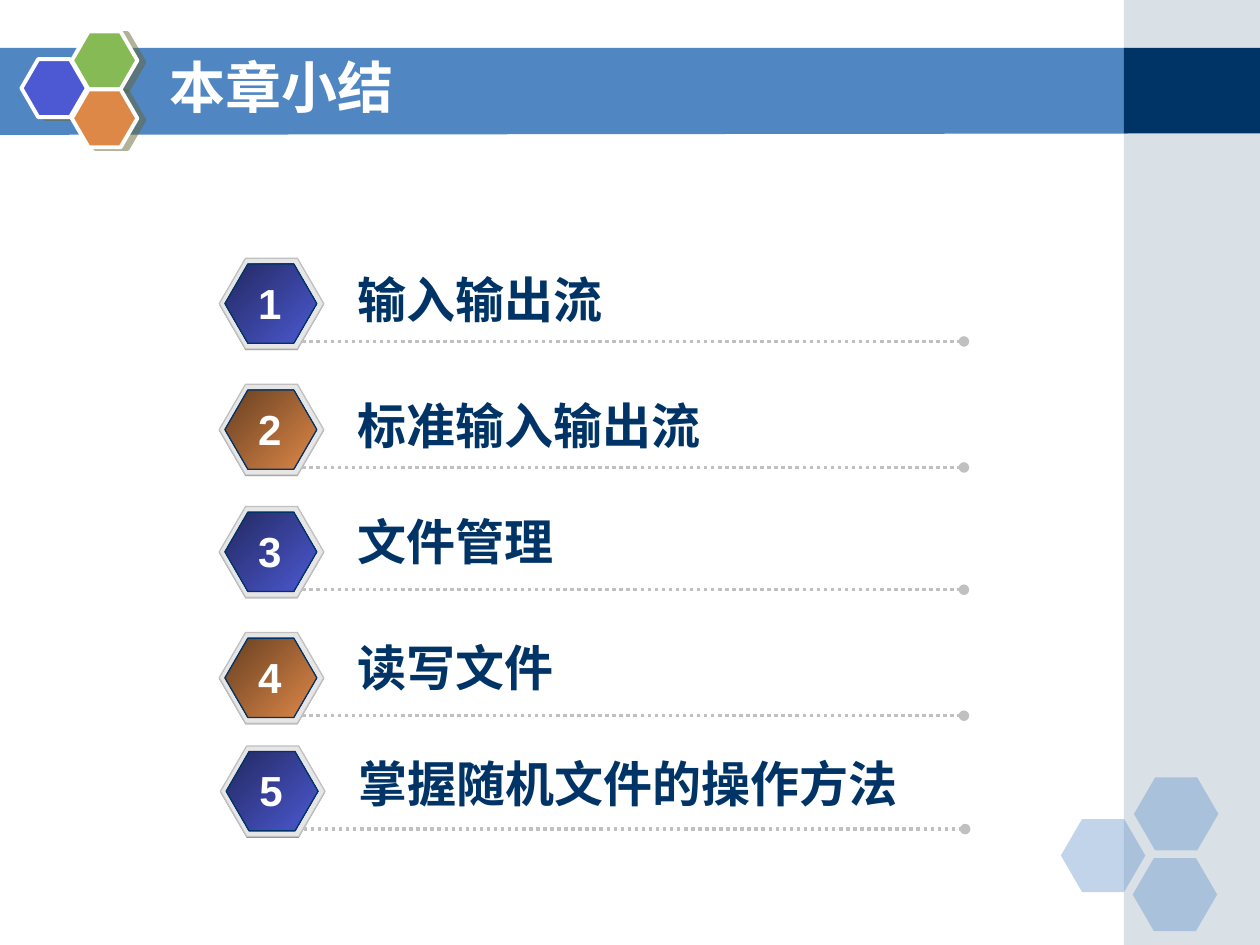
from lxml import etree
from pptx import Presentation
from pptx import util as u
from pptx.dml.color import RGBColor
from pptx.enum import dml, shapes, text
from pptx.oxml import parse_xml
from pptx.oxml.ns import qn

NAVY = RGBColor(0x00, 0x33, 0x66)
BLUE = RGBColor(0x50, 0x86, 0xC2)
MIST = RGBColor(0xA0, 0xB5, 0xC4)
WHITE = RGBColor(0xFF, 0xFF, 0xFF)
VIOLET = RGBColor(0x4C, 0x59, 0xD2)
GREEN = RGBColor(0x85, 0xBA, 0x54)
ORANGE = RGBColor(0xDE, 0x88, 0x48)
INDIGO = RGBColor(0x23, 0x29, 0x61)
BROWN = RGBColor(0x67, 0x3F, 0x21)
GREY = RGBColor(0x80, 0x80, 0x80)
PALE = RGBColor(0xE6, 0xE6, 0xE6)
SILVER = RGBColor(0xC0, 0xC0, 0xC0)
HEX = shapes.MSO_SHAPE.HEXAGON
RECT = shapes.MSO_SHAPE.RECTANGLE

# The slide is a grid of 100 columns by 75 rows
deck = Presentation()
deck.slide_width, deck.slide_height = u.Inches(10), u.Inches(7.5)
CELL = deck.slide_width // 100
page = deck.slides.add_slide(deck.slide_layouts[6])


def draw(kind, spot, fill, edge=None, width=0.75, alpha=None):
    """Add a shape at a grid spot; a pair of fills makes a diagonal gradient."""
    shape = page.shapes.add_shape(kind, *[round(n * CELL) for n in spot])
    shape.shadow.inherit = False
    if kind == HEX:
        shape.adjustments[0] = 0.29
    if isinstance(fill, RGBColor):
        shape.fill.solid()
        shape.fill.fore_color.rgb = fill
    else:
        shape.fill.gradient()
        shape.fill.gradient_angle = 315
        for stop, tint, place in zip(shape.fill.gradient_stops, fill, (0, 1)):
            stop.color.rgb, stop.position = tint, place
    if alpha:
        tone = shape._element.spPr.find(".//" + qn("a:srgbClr"))
        etree.SubElement(tone, qn("a:alpha")).set("val", str(alpha * 1000))
    if edge is None:
        shape.line.fill.background()
    else:
        shape.line.color.rgb, shape.line.width = edge, u.Pt(width)
    return shape


def write(words, spot, look, align=text.PP_ALIGN.LEFT, wrap=True):
    """Add a line of text, centred in height, with its font set from look."""
    frame = page.shapes.add_textbox(*[round(n * CELL) for n in spot]).text_frame
    frame.word_wrap = wrap
    frame.vertical_anchor = text.MSO_ANCHOR.MIDDLE
    line = frame.paragraphs[0]
    line.alignment = align
    run = line.add_run()
    run.text = words
    for key, val in look.items():
        setattr(run.font, key, val)
    run.font.color.rgb = NAVY if look is ITEM else WHITE
    east = etree.SubElement(run._r.get_or_add_rPr(), qn("a:ea"))
    east.set("typeface", "Noto Sans CJK SC")


HEAD = {"name": "Noto Sans CJK SC", "size": u.Pt(32), "bold": True}
ITEM = {"name": "Arial", "size": u.Pt(28), "bold": True}
MARK = {"name": "Arial", "size": u.Pt(24), "bold": True}

# Title band, a little lower at its left end
left, right, top = [round(n * CELL) for n in (-0.1, 89.5, 3.8)]
pen = page.shapes.build_freeform(left, top)
pen.add_line_segments([(right, top), (right, round(10.6 * CELL)),
                       (left, round(10.7 * CELL))])
band = pen.convert_to_shape()
band.shadow.inherit = False
band.fill.solid()
band.fill.fore_color.rgb = BLUE
band.line.fill.background()

# Side column and its dark crossing
draw(RECT, (89.2, 0, 10.8, 75), MIST, alpha=40)
draw(RECT, (89.2, 3.8, 10.8, 6.8), NAVY)

# Faint cluster at the foot
for x, y in ((84.2, 65), (90, 61.7), (89.9, 68.1)):
    draw(HEX, (x, y, 6.7, 5.8), BLUE, alpha=35)

# Bright cluster with shadows beside the title
for x, y, tint in ((1.7, 4.7, VIOLET), (5.7, 2.5, GREEN), (5.7, 7.1, ORANGE)):
    cell = draw(HEX, (x, y, 5.2, 4.6), tint, WHITE, 2.25)
    cell._element.spPr.find(qn("a:effectLst")).append(parse_xml(
        '<a:outerShdw xmlns:a="http://schemas.openxmlformats.org/drawingml/2006/main"'
        ' dist="52070" dir="840000" algn="ctr" rotWithShape="0">'
        '<a:srgbClr val="666633"><a:alpha val="50000"/></a:srgbClr></a:outerShdw>'))

write("本章小结", (12.5, 3.3, 73.3, 7), HEAD)

# Numbered items: words, left and top of the hexagon, top of the words
ROWS = (
    ("输入输出流", 17.4, 20.5, 20.9),
    ("标准输入输出流", 17.4, 30.5, 30.9),
    ("文件管理", 17.4, 40.2, 40.1),
    ("读写文件", 17.4, 50.2, 50.1),
    ("掌握随机文件的操作方法", 17.5, 59.2, 59.3),
)
FILLS = ((INDIGO, VIOLET), (BROWN, ORANGE))
for num, (words, x, y, high) in enumerate(ROWS, 1):
    draw(HEX, (x, y + 0.1, 8.3, 7.2), GREY)
    draw(HEX, (x, y, 8.3, 7.2), PALE, SILVER)
    draw(HEX, (x + 0.45, y + 0.45, 7.3, 6.3), FILLS[(num - 1) % 2], NAVY)

    ends = (x + 6.6, y + 6.6, x + 59.1, y + 6.6)
    rule = page.shapes.add_connector(shapes.MSO_CONNECTOR.STRAIGHT,
                                     *[round(n * CELL) for n in ends])
    for key, val in {"width": u.Pt(2), "dash_style": dml.MSO_LINE.ROUND_DOT}.items():
        setattr(rule.line, key, val)
    rule.line.color.rgb = SILVER
    etree.SubElement(rule.line._get_or_add_ln(), qn("a:tailEnd")).set("type", "oval")
    etree.SubElement(rule._element.spPr, qn("a:effectLst"))

    write(words, (x + 10, high, 60, 5.7), ITEM)
    write(str(num), (x + 2.1, y + 1, 3.8, 5), MARK, text.PP_ALIGN.CENTER, False)

deck.save("out.pptx")
